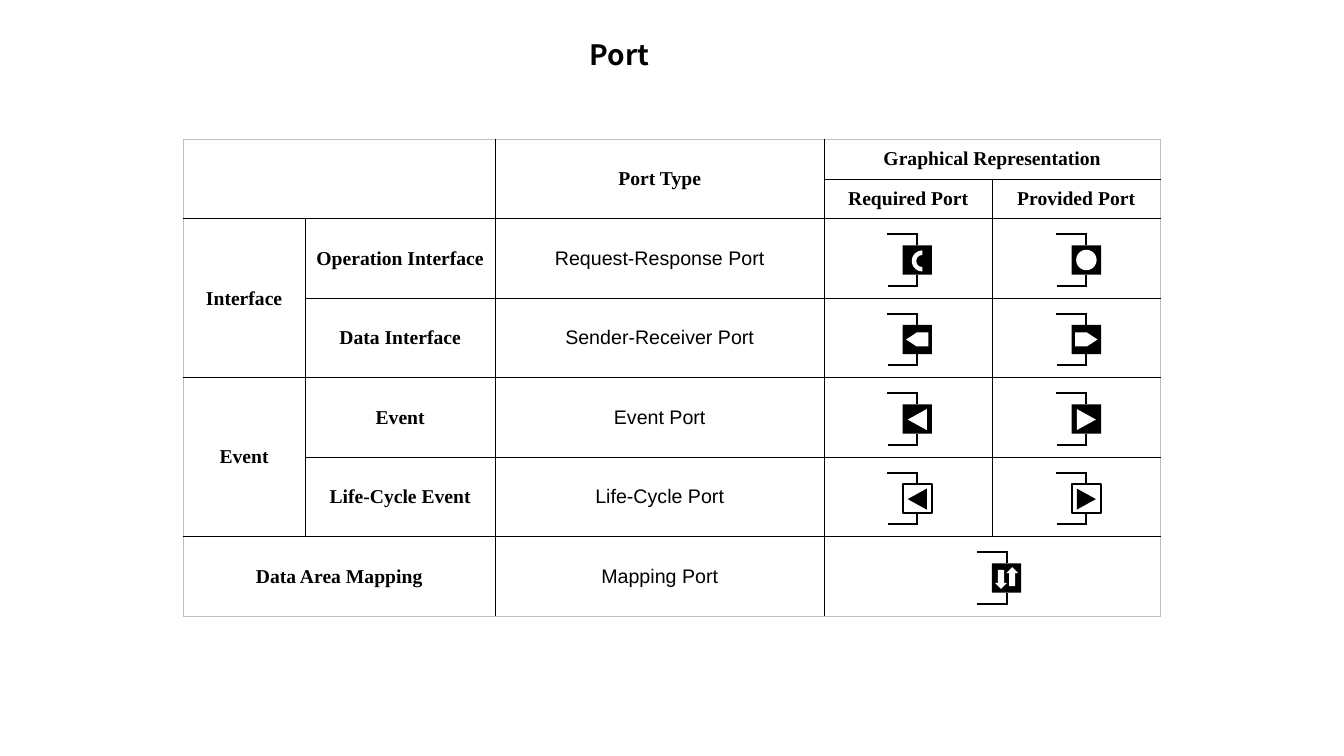
from lxml import etree
from pptx import Presentation
from pptx.dml import color as col
from pptx.enum import shapes, text
from pptx.oxml import ns
from pptx.util import Pt

HUES = {"ink": "000000", "paper": "FFFFFF", "edge": "BFBFBF"}
SERIF, SANS, HEAD = "Times New Roman", "Arial", "Noto Sans CJK SC"
KIND = shapes.MSO_SHAPE
LEFT, TOP = 130.8, 99.6
COLS = [87.2, 135.8, 235, 120, 120]
ROWS = [28.4] * 2 + [56.8] * 5
SIDE = 21

MERGES = [(0, 0, 1, 1), (0, 2, 1, 2), (0, 3, 0, 4), (2, 0, 3, 0),
          (4, 0, 5, 0), (6, 0, 6, 1), (6, 3, 6, 4)]
LABELS = {
    (0, 2): "Port Type", (0, 3): "Graphical Representation",
    (1, 3): "Required Port", (1, 4): "Provided Port",
    (2, 0): "Interface", (4, 0): "Event",
    (2, 1): "Operation Interface", (3, 1): "Data Interface",
    (4, 1): "Event", (5, 1): "Life-Cycle Event", (6, 0): "Data Area Mapping",
}
TYPES = ["Request-Response Port", "Sender-Receiver Port", "Event Port",
         "Life-Cycle Port", "Mapping Port"]

ARC = (KIND.BLOCK_ARC, 15, 15, 270, 3.6, 0.7, (108, 216, 0.21))
DISC = (KIND.OVAL, 14.6, 14.6, 0, 0, 0, ())
MARKS = [
    (ARC, DISC),
    [(KIND.PENTAGON, 16, 10, turn, 0, 0, (0.76,)) for turn in (180, 0)],
    *[[(KIND.ISOSCELES_TRIANGLE, 15, 13.6, turn, 0, 0.4, ()) for turn in (270, 90)]] * 2,
]
ARROWS = [(KIND.RIGHT_ARROW, 13.6, 8.6, turn, way * 4, -way, ())
          for turn, way in ((90, -1), (270, 1))]


def tint(name):
    return col.RGBColor.from_string(HUES[name])


def write(frame, words, font, size, bold):
    run = frame.paragraphs[0].add_run()
    run.text = words
    run.font.name = font
    run.font.size = Pt(size)
    run.font.bold = bold
    run.font.color.rgb = tint("ink")


def border(cell, side, hue, width):
    line = etree.SubElement(cell._tc.get_or_add_tcPr(), ns.qn("a:" + side), w=str(Pt(width)))
    fill = etree.SubElement(line, ns.qn("a:solidFill"))
    etree.SubElement(fill, ns.qn("a:srgbClr"), val=HUES[hue])


def style(cell, row, pos):
    wide = cell.span_width if cell.is_merge_origin else 1
    tall = cell.span_height if cell.is_merge_origin else 1
    outer = {"lnL": pos == 0, "lnR": pos + wide == len(COLS),
             "lnT": row == 0, "lnB": row + tall == len(ROWS)}
    for side, rim in outer.items():
        border(cell, side, "edge" if rim else "ink", 0.75 if rim else 1)
    cell.fill.solid()
    cell.fill.fore_color.rgb = tint("paper")
    cell.margin_top = cell.margin_bottom = 0
    cell.vertical_anchor = text.MSO_ANCHOR.MIDDLE
    cell.text_frame.paragraphs[0].alignment = text.PP_ALIGN.CENTER


def grid(slide):
    table = slide.shapes.add_table(len(ROWS), len(COLS), Pt(LEFT), Pt(TOP),
                                   Pt(sum(COLS)), Pt(sum(ROWS))).table
    for part, size in zip(table.columns, COLS):
        part.width = Pt(size)
    for part, size in zip(table.rows, ROWS):
        part.height = Pt(size)
    for top, left, low, right in MERGES:
        table.cell(top, left).merge(table.cell(low, right))
    for row in range(len(ROWS)):
        for pos in range(len(COLS)):
            style(table.cell(row, pos), row, pos)
    for spot, words in LABELS.items():
        write(table.cell(*spot).text_frame, words, SERIF, 14, True)
    for row, words in enumerate(TYPES, 2):
        write(table.cell(row, 2).text_frame, words, SANS, 14, False)


def wire(group, *ends):
    line = group.shapes.add_connector(shapes.MSO_CONNECTOR.STRAIGHT, *map(Pt, ends))
    line.line.color.rgb = tint("ink")
    line.line.width = Pt(1.5)
    etree.SubElement(line._element.spPr, ns.qn("a:effectLst"))


def block(group, kind, mid, high, wide, tall, hue, turn=0, adjust=()):
    shape = group.shapes.add_shape(kind, Pt(mid - wide / 2), Pt(high - tall / 2),
                                   Pt(wide), Pt(tall))
    shape.shadow.inherit = False
    shape.rotation = turn
    for num, value in enumerate(adjust):
        shape.adjustments[num] = value
    shape.fill.solid()
    shape.fill.fore_color.rgb = tint(hue)
    shape.line.fill.background()
    return shape


def port(slide, mid, top, marks, hollow=False):
    group = slide.shapes.add_group_shape()
    high, low = top - 8, top + 29
    wire(group, mid, top, mid, high)
    wire(group, mid, low, mid, top + SIDE)
    wire(group, mid + 0.7, high, mid - 21.4, high)
    wire(group, mid - 20.8, low, mid + 0.7, low)
    back, front = ("paper", "ink") if hollow else ("ink", "paper")
    center = top + SIDE / 2
    box = block(group, KIND.RECTANGLE, mid, center, SIDE, SIDE, back)
    if hollow:
        box.line.color.rgb = tint("ink")
        box.line.width = Pt(1.5)
    for kind, wide, tall, turn, right, down, adjust in marks:
        block(group, kind, mid + right, center + down, wide, tall, front, turn, adjust)


def title(slide):
    box = slide.shapes.add_textbox(Pt(414), Pt(23), Pt(131), Pt(31.6))
    box.text_frame.word_wrap = True
    write(box.text_frame, "Port", HEAD, 20, True)


def main():
    deck = Presentation()
    deck.slide_width, deck.slide_height = Pt(960), Pt(540)
    slide = deck.slides.add_slide(deck.slide_layouts[6])
    grid(slide)
    tops = [175.2 + 56.8 * row for row in range(5)]
    for row, pair in enumerate(MARKS):
        for mid, mark in zip((655.2, 776), pair):
            port(slide, mid, tops[row], [mark], hollow=row == 3)
    port(slide, 719, tops[4], ARROWS)
    title(slide)
    deck.save("out.pptx")


main()
